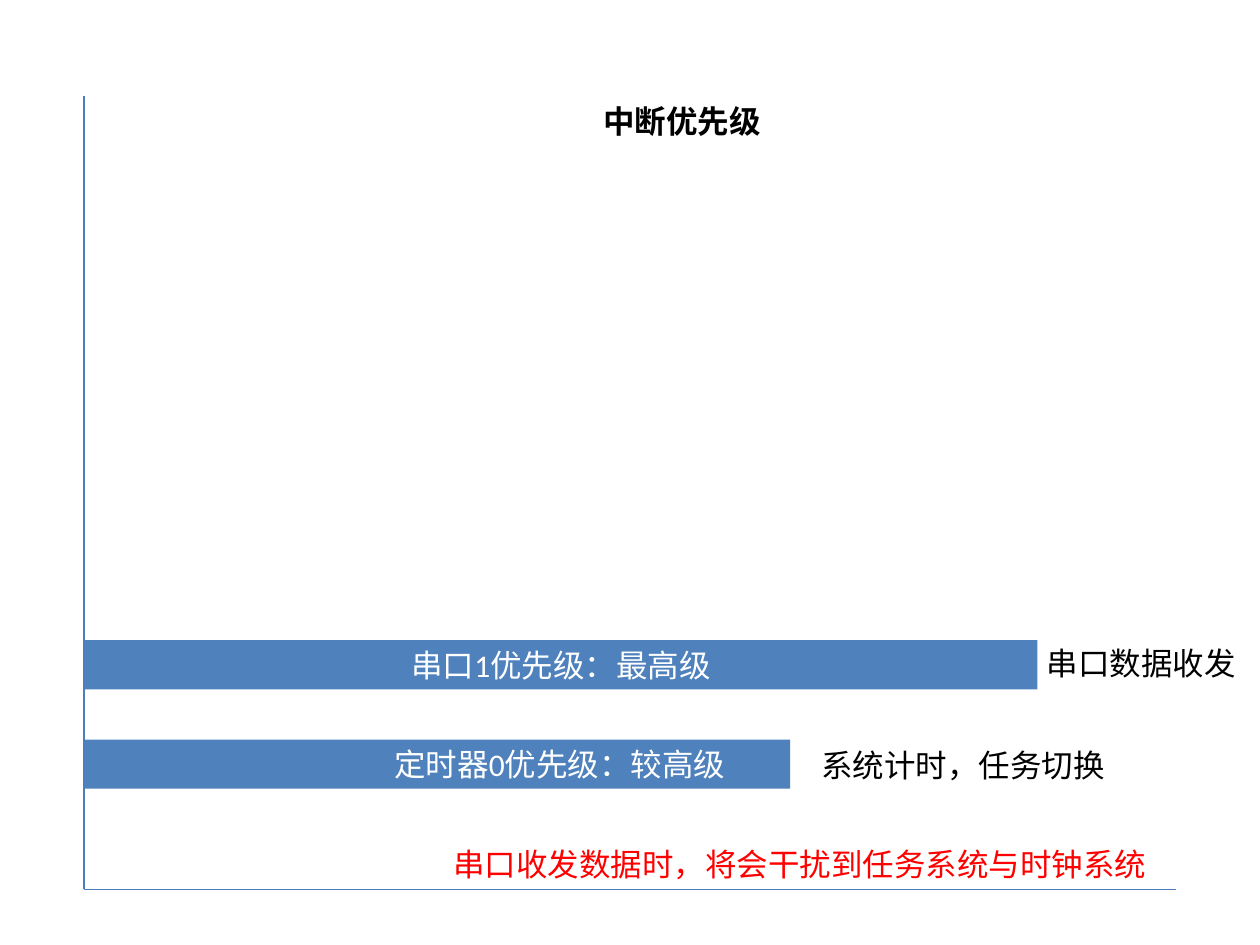
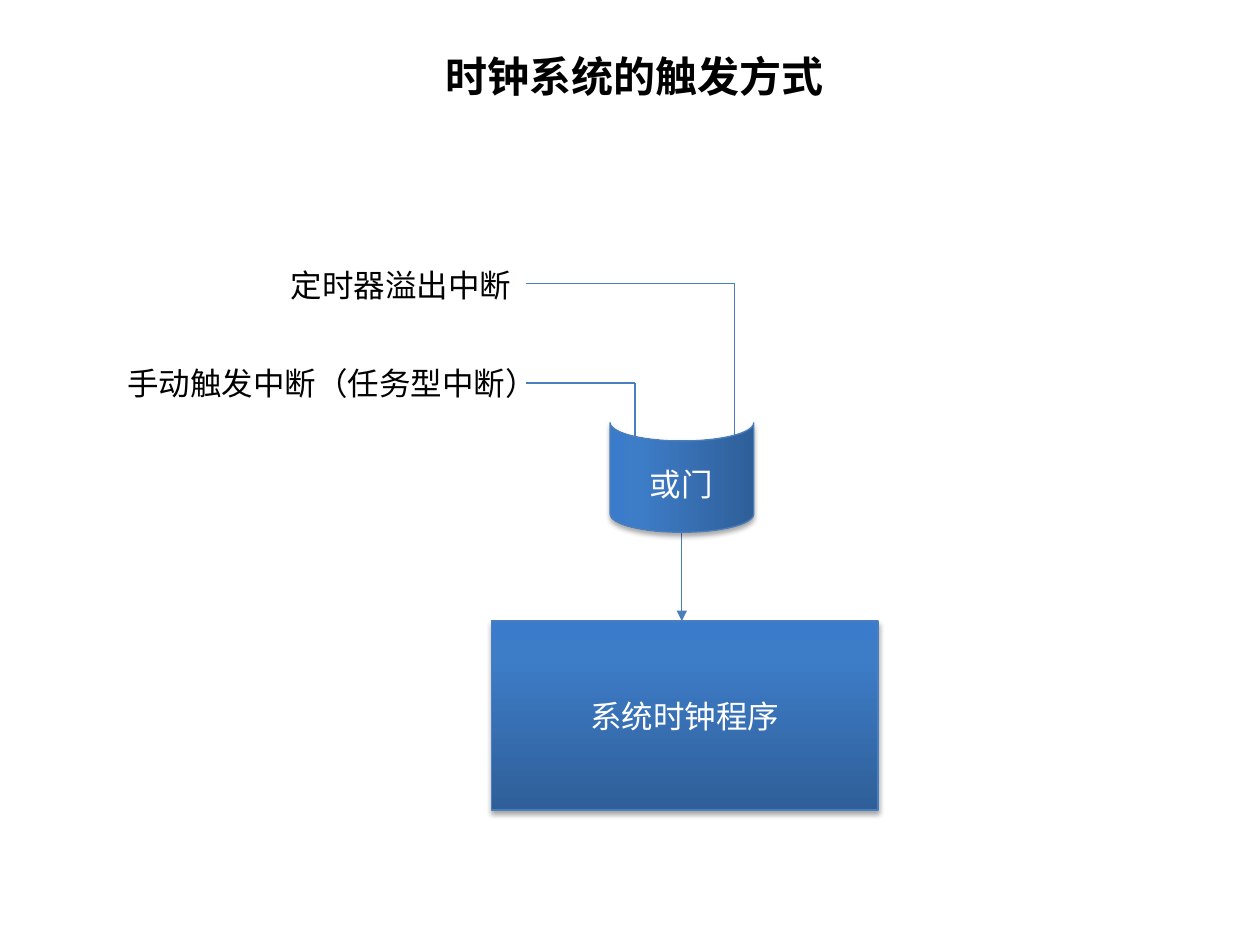
import pptx
import pptx.util
import pptx.dml.color
import pptx.enum.shapes
import pptx.enum.text
import pptx.oxml
import pptx.oxml.ns
import lxml.etree

Pt = pptx.util.Pt
SHAPES = pptx.enum.shapes.MSO_SHAPE
FONT = "Calibri"
BLACK, WHITE, RED = "000000", "FFFFFF", "FF0000"
BAR_BLUE, LINE_BLUE = "4F81BD", "4B7EBC"
GRADIENT = [(0, "2F5F99"), (80, "3D7CC7"), (100, "3A7CCB")]
NAMESPACE = pptx.oxml.ns.nsdecls("a")


def color(value):
    """Turn a hex string into a colour."""
    return pptx.dml.color.RGBColor.from_string(value)


def write(shape, text, text_color=BLACK, size=18, bold=False):
    """Put one run of text into the first paragraph of a shape."""
    paragraph = shape.text_frame.paragraphs[0]
    run = paragraph.add_run()
    run.text = text
    run.font.name = FONT
    run.font.size = Pt(size)
    run.font.bold = bold
    run.font.color.rgb = color(text_color)
    return paragraph


presentation = pptx.Presentation()
presentation.slide_width = Pt(720)
presentation.slide_height = Pt(540)
priority_slide, trigger_slide = [
    presentation.slides.add_slide(presentation.slide_layouts[6]) for _ in range(2)
]

# Lines: slide, start x, start y, end x, end y, arrowhead
axis_x, axis_y = 48, 508.3
timer_y, manual_y = 162, 218.9
timer_x, manual_x, label_end = 419.8, 362.8, 300.4
gate_top, gate_x, box_top = 252, 389.6, 354.9
lines = [
    (priority_slide, axis_x, 54.7, axis_x, axis_y, False),
    (priority_slide, axis_x, axis_y, 671.8, axis_y, False),
    (trigger_slide, gate_x, 303.8, gate_x, box_top, True),
    (trigger_slide, manual_x, gate_top, manual_x, manual_y, False),
    (trigger_slide, timer_x, gate_top, timer_x, timer_y, False),
    (trigger_slide, manual_x, manual_y, label_end, manual_y, False),
    (trigger_slide, label_end, timer_y, timer_x, timer_y, False),
]
for slide, start_x, start_y, end_x, end_y, arrow in lines:
    connector = slide.shapes.add_connector(
        pptx.enum.shapes.MSO_CONNECTOR.STRAIGHT,
        Pt(start_x), Pt(start_y), Pt(end_x), Pt(end_y))
    connector.line.color.rgb = color(LINE_BLUE)
    connector.line.width = Pt(0.75)
    if arrow:
        connector.line._get_or_add_ln().append(
            pptx.oxml.parse_xml(f'<a:tailEnd {NAMESPACE} type="triangle"/>'))
    lxml.etree.SubElement(connector._element.spPr, pptx.oxml.ns.qn("a:effectLst"))

# Priority bars: top, width, left inset, text
bars = [
    (365.8, 544.3, 7.2, "串口1优先级：最高级"),
    (422.6, 403, 147, "定时器0优先级：较高级"),
]
for top, width, inset, text in bars:
    bar = priority_slide.shapes.add_shape(
        SHAPES.RECTANGLE, Pt(axis_x + 0.5), Pt(top), Pt(width), Pt(28.1))
    bar.shadow.inherit = False
    bar.fill.solid()
    bar.fill.fore_color.rgb = color(BAR_BLUE)
    bar.line.fill.background()
    bar.text_frame.margin_left = Pt(inset)
    bar.text_frame.vertical_anchor = pptx.enum.text.MSO_ANCHOR.MIDDLE
    write(bar, text, WHITE).alignment = pptx.enum.text.PP_ALIGN.CENTER

# Gradient blocks: preset, left, top, width, height, rotation, text
blocks = [
    (SHAPES.RECTANGLE, 280.8, box_top, 221, 108, 0, "系统时钟程序"),
    (SHAPES.FLOWCHART_STORED_DATA, 358.4, 231.8, 62.6, 82.1, 270, ""),
]
stops = "".join(
    f'<a:gs pos="{position * 1000}"><a:srgbClr val="{value}"/></a:gs>'
    for position, value in GRADIENT)
for preset, left, top, width, height, rotation, text in blocks:
    block = trigger_slide.shapes.add_shape(
        preset, Pt(left), Pt(top), Pt(width), Pt(height))
    block.rotation = rotation
    block.line.color.rgb = color(LINE_BLUE)
    block.line.width = Pt(0.75)
    block.fill.gradient()
    properties = block._element.spPr
    properties.replace(
        properties.find(pptx.oxml.ns.qn("a:gradFill")),
        pptx.oxml.parse_xml(
            f'<a:gradFill {NAMESPACE} rotWithShape="1"><a:gsLst>{stops}</a:gsLst>'
            '<a:lin ang="16200000" scaled="0"/></a:gradFill>'))
    block.shadow.inherit = False
    properties.find(pptx.oxml.ns.qn("a:effectLst")).append(pptx.oxml.parse_xml(
        f'<a:outerShdw {NAMESPACE} blurRad="{Pt(3.1)}" dist="{Pt(1.8)}" '
        'dir="5400000" rotWithShape="0"><a:srgbClr val="000000">'
        '<a:alpha val="35000"/></a:srgbClr></a:outerShdw>'))
    if text:
        block.text_frame.vertical_anchor = pptx.enum.text.MSO_ANCHOR.MIDDLE
        write(block, text, WHITE).alignment = pptx.enum.text.PP_ALIGN.CENTER

# Labels: slide, left, top, width, text, colour, size, bold
labels = [
    (priority_slide, 337.7, 54.7, 105.8, "中断优先级", BLACK, 18, True),
    (priority_slide, 591.1, 364.3, 123.8, "串口数据收发", BLACK, 18, False),
    (priority_slide, 462.2, 422.6, 177.8, "系统计时，任务切换", BLACK, 18, False),
    (priority_slide, 252, 479.5, 414.7, "串口收发数据时，将会干扰到任务系统与时钟系统",
     RED, 18, False),
    (trigger_slide, 159.1, 148.3, 141.8, "定时器溢出中断", BLACK, 18, False),
    (trigger_slide, 65.5, 204.5, 250.6, "手动触发中断（任务型中断）", BLACK, 18, False),
    (trigger_slide, 364.3, 262.1, 51.1, "或门", WHITE, 18, False),
    (trigger_slide, 247.7, 25.2, 232.6, "时钟系统的触发方式", BLACK, 24, True),
]
for slide, left, top, width, text, text_color, size, bold in labels:
    label = slide.shapes.add_textbox(
        Pt(left), Pt(top), Pt(width), Pt(size * 1.2 + 7.2))
    label.text_frame.word_wrap = False
    label.text_frame.auto_size = pptx.enum.text.MSO_AUTO_SIZE.SHAPE_TO_FIT_TEXT
    write(label, text, text_color, size, bold)

presentation.save("out.pptx")
